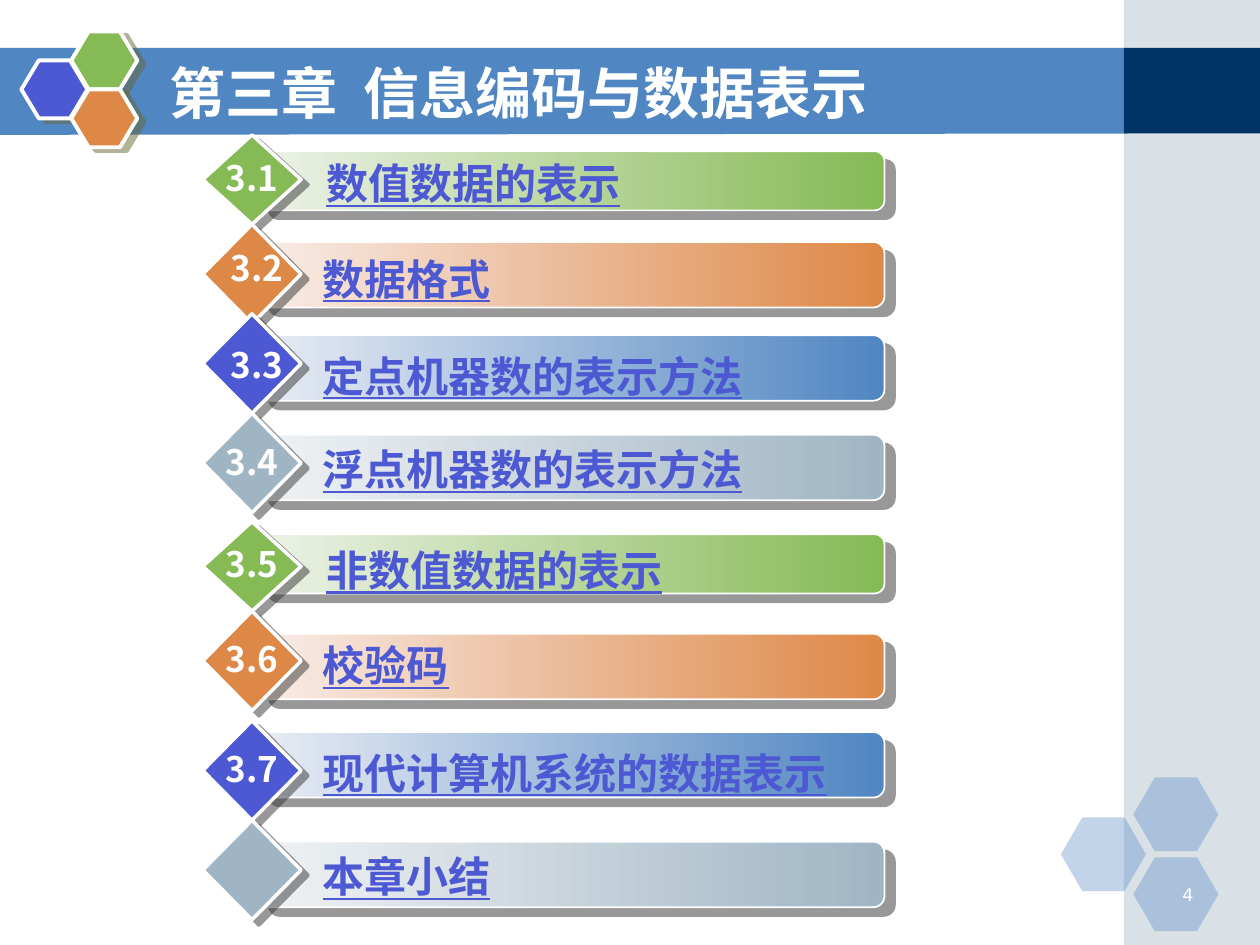
import lxml.etree
import pptx
import pptx.dml.color
import pptx.enum.shapes
import pptx.enum.text
import pptx.oxml.ns
import pptx.util

SHAPE = pptx.enum.shapes.MSO_SHAPE
ALIGN = pptx.enum.text.PP_ALIGN
ANCHOR = pptx.enum.text.MSO_ANCHOR
qn = pptx.oxml.ns.qn

COLUMNS, ROWS = 100, 75
CELL = pptx.util.Inches(0.1)
CJK_FONT = "Noto Sans CJK SC"
WHITE, NAVY, BLUE, INDIGO = "FFFFFF", "003366", "5086C2", "4C59D2"
GREEN, ORANGE, GREY = "85BA54", "DE8848", "A0B5C4"

# Style: diamond colour, bar start, bar end, diamond height, bar height, label column
STYLES = [
    (GREEN, "ECF2E8", GREEN, 7.1, 4.7, 23.4),
    (ORANGE, "F8ECE7", ORANGE, 7.9, 5.2, 23.1),
    (INDIGO, "E8ECF4", BLUE, 7.9, 5.2, 23.1),
    (GREY, "EFF2F4", GREY, 7.9, 5.2, 23.1),
]
# Section: number, title, then rows of diamond, bar and title, then place of number
SECTIONS = [
    ("3.1", "数值数据的表示", 10.7, 12, 12, (16.9, 11.9)),
    ("3.2", "数据格式", 17.8, 19.2, 19.6, (17.3, 19.1)),
    ("3.3", "定点机器数的表示方法", 24.9, 26.6, 27.3, (17.3, 26.8)),
    ("3.4", "浮点机器数的表示方法", 32.8, 34.5, 34.7, (16.9, 34.5)),
    ("3.5", "非数值数据的表示", 41.4, 42.4, 42.7, (16.9, 42.6)),
    ("3.6", "校验码", 48.5, 50.3, 50.3, (16.9, 50.1)),
    ("3.7", "现代计算机系统的数据表示", 57.2, 58.1, 58.8, (16.9, 58.8)),
    ("", "本章小结", 65.1, 66.8, 67, None),
]


def colour(value):
    return pptx.dml.color.RGBColor.from_string(value)


def cells(*counts):
    return [round(count * CELL) for count in counts]


def set_alpha(colour_element, percent):
    alpha = lxml.etree.SubElement(colour_element, qn("a:alpha"))
    alpha.set("val", str(percent * 1000))


def add_shadow(shape, value, distance, angle):
    effects = shape._element.spPr.find(qn("a:effectLst"))
    shadow = lxml.etree.SubElement(effects, qn("a:outerShdw"))
    settings = {"blurRad": 0, "dist": pptx.util.Pt(distance),
                "dir": angle * 60000, "algn": "ctr", "rotWithShape": 0}
    for name, setting in settings.items():
        shadow.set(name, str(int(setting)))if name != "algn" else shadow.set(name, setting)
    tone = lxml.etree.SubElement(shadow, qn("a:srgbClr"))
    tone.set("val", value)
    set_alpha(tone, 50)


def paint(shape, fill, line=None, alpha=None):
    """Fill with one colour, or with a left-to-right pair of colours."""
    shape.shadow.inherit = False
    if isinstance(fill, tuple):
        shape.fill.gradient()
        shape.fill.gradient_angle = 0
        for stop, value, place in zip(shape.fill.gradient_stops, fill, (0, 1)):
            stop.color.rgb = colour(value)
            stop.position = place
    else:
        shape.fill.solid()
        shape.fill.fore_color.rgb = colour(fill)
        if alpha:
            set_alpha(shape._element.spPr.find(qn("a:solidFill"))[0], alpha)
    if line:
        shape.line.color.rgb = colour(WHITE)
        shape.line.width = pptx.util.Pt(line)
    else:
        shape.line.fill.background()


def add_figure(page, kind, box, fill, adjust=None, **look):
    shape = page.shapes.add_shape(kind, *cells(*box))
    if adjust:
        shape.adjustments[0] = adjust
    paint(shape, fill, **look)
    return shape


def add_text(page, box, *spans, size, font=CJK_FONT, ink=WHITE, bold=True, underline=None,
             align=ALIGN.LEFT, anchor=ANCHOR.TOP, inset=1, gap=0):
    """Write the spans as one paragraph; gap widens a span that is one space."""
    frame = page.shapes.add_textbox(*cells(*box)).text_frame
    frame.word_wrap = True
    frame.vertical_anchor = anchor
    frame.margin_left = cells(inset)[0]
    para = frame.paragraphs[0]
    para.alignment = align
    for text in spans:
        span = para.add_run()
        span.text = text
        span.font.size = pptx.util.Pt(size)
        span.font.name = font
        span.font.bold = bold
        span.font.underline = underline
        span.font.color.rgb = colour(ink)
        properties = span._r.get_or_add_rPr()
        lxml.etree.SubElement(properties, qn("a:ea")).set("typeface", font)
        if text == " " and gap:
            properties.set("spc", str(round(gap * 100)))


def add_hexagons(page, box, share, fills, adjust, shadow=False, **look):
    """Place one hexagon at the left middle and two at the right corners."""
    left, top, width, height = box
    wide, tall = width * share[0], height * share[1]
    right, bottom = left + width - wide, top + height - tall
    places = [(left, (top + bottom) / 2), (right, top), (right, bottom)]
    for place, fill in zip(places, fills):
        hexagon = add_figure(page, SHAPE.HEXAGON, (*place, wide, tall), fill, adjust, **look)
        if shadow:
            add_shadow(hexagon, "666633", 4.5, 27)


def add_backdrop(page, box):
    left, top, width, height = box
    side, banner_top, banner_height = left + width * 0.892, top + 3.8, 6.8
    edge = [(side + 0.3, banner_top), (side + 0.3, banner_top + banner_height),
            (left, banner_top + banner_height + 0.1)]
    builder = page.shapes.build_freeform(*cells(left, banner_top))
    builder.add_line_segments([cells(*point) for point in edge], close=True)
    paint(builder.convert_to_shape(), BLUE)

    side_width = left + width - side
    add_figure(page, SHAPE.RECTANGLE, (side, top, side_width, height), GREY, alpha=40)
    add_figure(page, SHAPE.RECTANGLE, (side, banner_top, side_width, banner_height), NAVY)
    add_hexagons(page, (84.2, 61.7, 12.5, 12.2), (0.54, 0.48), [BLUE] * 3, 0.29, alpha=35)
    add_hexagons(page, (1.7, 2.5, 9.2, 9.2), (0.57, 0.5), [INDIGO, GREEN, ORANGE], 0.3,
                 shadow=True, line=2.25)


def add_section(page, box, section, style):
    number, title, diamond_row, bar_row, title_row, number_place = section
    accent, start, end, diamond_height, bar_height, title_column = style
    left, top, width, _ = box
    bar_box = (left + 4.4, top + bar_row, width - 4.4, bar_height)
    bar = add_figure(page, SHAPE.ROUNDED_RECTANGLE, bar_box, (start, end), 0.17, line=1)
    add_shadow(bar, "333333", 7.8, 40)
    diamond_box = (left, top + diamond_row, 7.8, diamond_height)
    diamond = add_figure(page, SHAPE.DIAMOND, diamond_box, accent, line=2)
    add_shadow(diamond, "333333", 5, 37)
    add_text(page, (title_column, top + title_row, 48.9, 5), title, size=24, ink=INDIGO,
             underline=True, inset=2.5)
    if number:
        column, row = number_place
        add_text(page, (column, top + row, 7.5, 4.3), number, size=20)


def add_agenda(page, box):
    for index, section in enumerate(SECTIONS):
        add_section(page, box, section, STYLES[index % len(STYLES)])


def main():
    deck = pptx.Presentation()
    deck.slide_width, deck.slide_height = cells(COLUMNS, ROWS)
    page = deck.slides.add_slide(deck.slide_layouts[6])
    add_backdrop(page, (0, 0, COLUMNS, ROWS))
    add_text(page, (90.7, 69.7, 5, 2.5), "4", size=10, font="DejaVu Sans", bold=False,
             align=ALIGN.RIGHT)
    add_text(page, (12.5, 4.2, 73.3, 6.2), "第三章", " ", "信息编码与数据表示", size=32,
             anchor=ANCHOR.MIDDLE, gap=7.2)
    add_agenda(page, (16.1, 0, 54.1, ROWS))
    deck.save("out.pptx")


if __name__ == "__main__":
    main()
